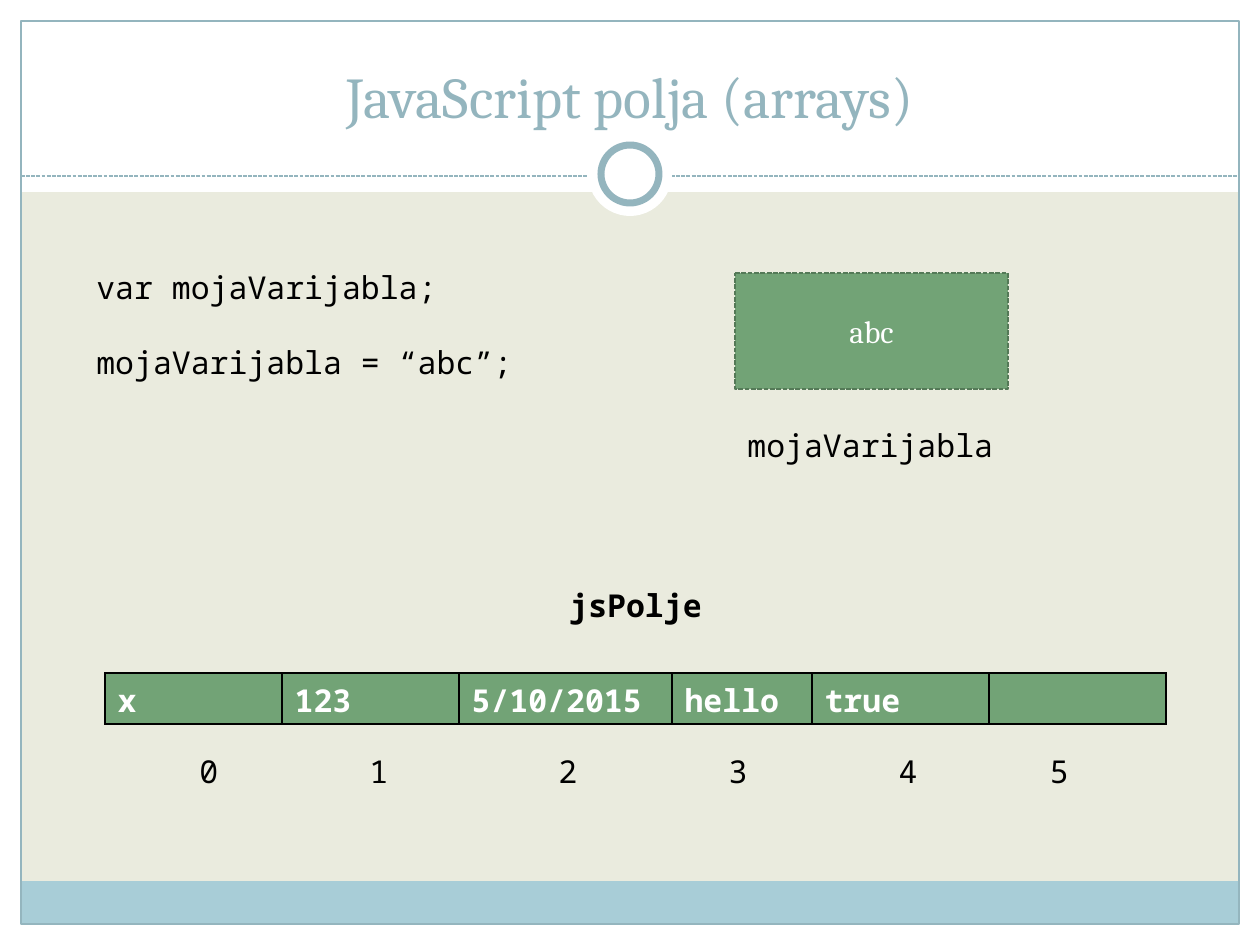
from dataclasses import dataclass

from lxml.etree import SubElement
from pptx import Presentation
from pptx.dml.color import RGBColor
from pptx.enum.dml import MSO_LINE_DASH_STYLE as DASH
from pptx.enum.shapes import MSO_CONNECTOR as CONN, MSO_SHAPE as SHAPE
from pptx.enum.text import MSO_ANCHOR as ANCHOR, PP_ALIGN as ALIGN
from pptx.oxml.ns import qn
from pptx.util import Pt

PX = 914400 / 126
W, H = 1260, 945


@dataclass(frozen=True)
class Theme:
    paper: str = "EAEBDE"
    white: str = "FFFFFF"
    black: str = "000000"
    accent: str = "94B5BE"
    band: str = "A8CDD7"
    green: str = "72A376"
    dark_green: str = "547957"
    serif: str = "Cambria"
    mono: str = "Noto Sans Mono"
    title: int = 33
    body: int = 18


T = Theme()
CODE = {"name": T.mono, "size": T.body, "color": T.black}
VALUE = {**CODE, "color": T.white, "bold": True}
CHAR = 18.9


def emu(*lengths):
    return [round(v * PX) for v in lengths]


def rgb(code):
    return RGBColor.from_string(code)


def write(p, text, fmt, align=ALIGN.LEFT):
    p.alignment = align
    r = p.add_run()
    r.text = text
    for key, value in fmt.items():
        if key == "color":
            r.font.color.rgb = rgb(value)
        else:
            setattr(r.font, key, Pt(value) if key == "size" else value)


def stroke(line, color, width, dash=None):
    line.color.rgb = rgb(color)
    line.width = Pt(width)
    if dash:
        line.dash_style = dash


def add_box(s, kind, box, fill=None, line=None):
    sp = s.shapes.add_shape(kind, *emu(*box))
    sp.shadow.inherit = False
    if fill:
        sp.fill.solid()
        sp.fill.fore_color.rgb = rgb(fill)
    else:
        sp.fill.background()
    if line:
        stroke(sp.line, *line)
    else:
        sp.line.fill.background()
    return sp


def add_text(s, box, lines, fmt, align=ALIGN.LEFT, anchor=ANCHOR.TOP, gap=0):
    tf = s.shapes.add_textbox(*emu(*box)).text_frame
    tf.word_wrap = True
    tf.vertical_anchor = anchor
    for i, text in enumerate(lines):
        p = tf.add_paragraph() if i else tf.paragraphs[0]
        if i and gap:
            p.space_before = Pt(gap)
        write(p, text, fmt, align)
    return tf


def add_frame(s, x, y, w, h):
    edge, head, rule = 21, 192, 176
    for box in ((x, y + h - edge, w, edge), (x, y, w, head),
                (x, y, edge, h), (x + w - edge, y, edge, h)):
        add_box(s, SHAPE.RECTANGLE, box, T.white)
    inner = w - 2 * edge
    add_box(s, SHAPE.RECTANGLE, (x + edge, y + h - 64, inner, 43), T.band)
    add_box(s, SHAPE.RECTANGLE, (x + edge, y + edge, inner, h - 2 * edge),
            line=(T.accent, 0.75))
    c = s.shapes.add_connector(
        CONN.STRAIGHT, *emu(x + edge, y + rule, x + w - edge, y + rule))
    stroke(c.line, T.accent, 0.75, DASH.SQUARE_DOT)
    SubElement(c._element.spPr, qn("a:effectLst"))
    for size, line in ((84, None), (58, (T.accent, 4))):
        add_box(s, SHAPE.OVAL,
                (x + (w - size) / 2, y + 174 - size / 2, size, size), T.white, line)


def add_title(s, x, y, w, h):
    add_text(s, (x, y, w, h), ["JavaScript polja (arrays)"],
             {"name": T.serif, "size": T.title, "color": T.accent},
             ALIGN.CENTER, ANCHOR.BOTTOM)


def add_variable(s, x, y, w, h):
    add_text(s, (x, y, 467, 127),
             ["var mojaVarijabla;", "mojaVarijabla = “abc”;"], CODE, gap=21.4)
    left = x + w - 274
    sp = add_box(s, SHAPE.FLOWCHART_PROCESS, (left, y + 11, 273, 116),
                 T.green, (T.dark_green, 0.9, DASH.SQUARE_DOT))
    sp.text_frame.vertical_anchor = ANCHOR.MIDDLE
    write(sp.text_frame.paragraphs[0], "abc",
          {"name": T.serif, "size": T.body, "color": T.white}, ALIGN.CENTER)
    add_text(s, (left, y + h - 51, 275, 51), ["mojaVarijabla"], CODE)


def add_borders(cell):
    pr = cell._tc.get_or_add_tcPr()
    for i, side in enumerate(("lnL", "lnR", "lnT", "lnB")):
        ln = pr.makeelement(qn("a:" + side), {"w": str(Pt(1))})
        fill = SubElement(ln, qn("a:solidFill"))
        SubElement(fill, qn("a:srgbClr"), val=T.black)
        pr.insert(i, ln)


def add_array(s, x, y, w, h):
    add_text(s, (x + 452, y, 160, 51), ["jsPolje"], {**CODE, "bold": True})
    values = ["x", "123", "5/10/2015", "hello", "true", ""]
    widths = [177, 177, 213, 140, 177, 177]
    table = s.shapes.add_table(1, len(values), *emu(x, y + 93, w, 51)).table
    table.rows[0].height = emu(51)[0]
    for col, cell, width, value in zip(table.columns, table.rows[0].cells, widths, values):
        col.width = emu(width)[0]
        cell.fill.solid()
        cell.fill.fore_color.rgb = rgb(T.green)
        add_borders(cell)
        if value:
            write(cell.text_frame.paragraphs[0], value, VALUE)
    index = "".join(f"\t{i}" for i in range(len(values)))
    tf = add_text(s, (x + 63, y + h - 51, 929, 51), [index], CODE)
    tabs = SubElement(tf.paragraphs[0]._p.get_or_add_pPr(), qn("a:tabLst"))
    for chars in (1, 10, 20, 29, 38, 46):
        SubElement(tabs, qn("a:tab"), pos=str(emu(chars * CHAR)[0]), algn="l")


def main():
    prs = Presentation()
    prs.slide_width, prs.slide_height = emu(W, H)
    s = prs.slides.add_slide(prs.slide_layouts[6])
    s.background.fill.solid()
    s.background.fill.fore_color.rgb = rgb(T.paper)
    add_frame(s, 0, 0, W, H)
    add_title(s, 42, 32, 1176, 104)
    add_variable(s, 84, 262, 925, 209)
    add_array(s, 105, 580, 1061, 217)
    prs.save("out.pptx")


if __name__ == "__main__":
    main()
